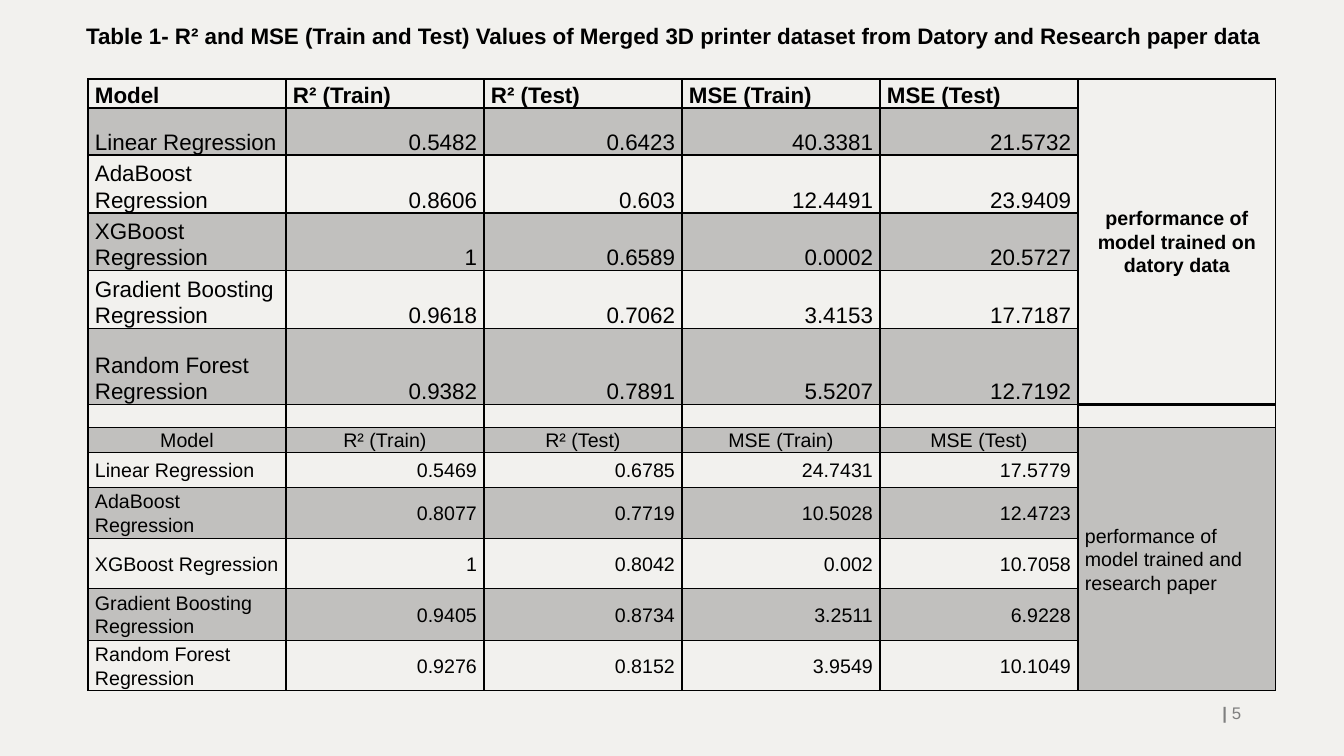
from dataclasses import dataclass

from lxml.etree import SubElement
from pptx import Presentation
from pptx.dml.color import RGBColor
from pptx.enum.text import MSO_ANCHOR, MSO_AUTO_SIZE, PP_ALIGN
from pptx.oxml.ns import qn
from pptx.util import Emu, Pt


@dataclass(frozen=True)
class Theme:
    font: str = "Arial"
    background: str = "F2F1EE"
    ink: str = "000000"
    muted: str = "7F7F7F"
    band_alpha: int = 20
    large: int = 16
    medium: int = 14
    small: int = 12
    line_spacing: float = 1.07
    thin: int = 1
    thick: int = 2


@dataclass(frozen=True)
class Block:
    """One group of results: a heading row, five models and a merged caption."""
    first_row: int
    scores: tuple
    caption: str
    size: int
    anchor: MSO_ANCHOR
    header_align: PP_ALIGN
    caption_align: PP_ALIGN
    header_bold: bool
    header_banded: bool


THEME = Theme()
EMU_PER_PX = 914400 / 100.8
COLUMN_WIDTH = 198
ROW_HEIGHTS = (29, 47, 58, 57, 58, 76, 23, 25, 35, 51, 50, 52, 50)
CELL_MARGIN = 7

TITLE = ("Table 1- R² and MSE (Train and Test) Values of Merged 3D printer "
         "dataset from Datory and Research paper data")
HEADINGS = ("Model", "R² (Train)", "R² (Test)", "MSE (Train)", "MSE (Test)")
MODELS = tuple(f"{method} Regression" for method in
               ("Linear", "AdaBoost", "XGBoost", "Gradient Boosting", "Random Forest"))
BLOCKS = (
    Block(
        0,
        (("0.5482", "0.6423", "40.3381", "21.5732"),
         ("0.8606", "0.603", "12.4491", "23.9409"),
         ("1", "0.6589", "0.0002", "20.5727"),
         ("0.9618", "0.7062", "3.4153", "17.7187"),
         ("0.9382", "0.7891", "5.5207", "12.7192")),
        "performance of model trained on datory data",
        THEME.large, MSO_ANCHOR.BOTTOM, PP_ALIGN.LEFT, PP_ALIGN.CENTER, True, False),
    Block(
        7,
        (("0.5469", "0.6785", "24.7431", "17.5779"),
         ("0.8077", "0.7719", "10.5028", "12.4723"),
         ("1", "0.8042", "0.002", "10.7058"),
         ("0.9405", "0.8734", "3.2511", "6.9228"),
         ("0.9276", "0.8152", "3.9549", "10.1049")),
        "performance of model trained and research paper",
        THEME.medium, MSO_ANCHOR.MIDDLE, PP_ALIGN.CENTER, PP_ALIGN.LEFT, False, True),
)


def px(length):
    return Emu(round(length * EMU_PER_PX))


def add_run(paragraph, text, size, color=THEME.ink, bold=False):
    run = paragraph.add_run()
    run.text = text
    run.font.name = THEME.font
    run.font.size = Pt(size)
    run.font.bold = bold
    run.font.color.rgb = RGBColor.from_string(color)


def add_title(slide):
    title = slide.shapes.title
    title.left, title.top, title.width, title.height = map(px, (76, 17, 1228, 65))
    frame = title.text_frame
    frame.word_wrap = True
    frame.auto_size = MSO_AUTO_SIZE.NONE
    frame.vertical_anchor = MSO_ANCHOR.TOP
    paragraph = frame.paragraphs[0]
    paragraph.alignment = PP_ALIGN.LEFT
    add_run(paragraph, TITLE, THEME.large, bold=True)


def add_page_number(slide):
    frame = slide.shapes.add_textbox(*map(px, (1190, 692, 61, 41))).text_frame
    frame.word_wrap = True
    frame.vertical_anchor = MSO_ANCHOR.MIDDLE
    paragraph = frame.paragraphs[0]
    paragraph.alignment = PP_ALIGN.RIGHT
    add_run(paragraph, "| ", THEME.small, THEME.muted, bold=True)
    add_run(paragraph, "5", THEME.small, THEME.muted)


def set_borders(cell, bottom):
    properties = cell._tc.get_or_add_tcPr()
    widths = {"a:lnL": THEME.thin, "a:lnR": THEME.thin, "a:lnT": THEME.thin, "a:lnB": bottom}
    for side, width in widths.items():
        line = SubElement(properties, qn(side), w=str(Pt(width)))
        SubElement(SubElement(line, qn("a:solidFill")), qn("a:srgbClr"), val=THEME.ink)


def set_band(cell):
    """Fill the cell with a see-through tint of the ink colour."""
    cell.fill.solid()
    cell.fill.fore_color.rgb = RGBColor.from_string(THEME.ink)
    tint = cell._tc.tcPr.find(qn("a:solidFill")).find(qn("a:srgbClr"))
    SubElement(tint, qn("a:alpha"), val=str(THEME.band_alpha * 1000))


def prepare_cell(cell, bottom):
    """Give an empty cell its margins, borders, clear fill and small line height."""
    cell.margin_left = cell.margin_right = px(CELL_MARGIN)
    cell.margin_top = cell.margin_bottom = 0
    set_borders(cell, bottom)
    cell.fill.background()
    SubElement(cell.text_frame.paragraphs[0]._p, qn("a:endParaRPr"), sz=str(THEME.small * 100))


def write_cell(cell, text, size, align, anchor, bold=False, banded=False):
    cell.vertical_anchor = anchor
    paragraph = cell.text_frame.paragraphs[0]
    paragraph.alignment = align
    paragraph.line_spacing = THEME.line_spacing
    add_run(paragraph, text, size, bold=bold)
    if banded:
        set_band(cell)


def fill_block(table, block):
    for column, heading in enumerate(HEADINGS):
        write_cell(table.cell(block.first_row, column), heading, block.size,
                   block.header_align, block.anchor, block.header_bold, block.header_banded)
    for offset, (model, scores) in enumerate(zip(MODELS, block.scores), start=1):
        banded = (offset % 2 == 1) != block.header_banded
        for column, text in enumerate((model, *scores)):
            align = PP_ALIGN.RIGHT if column else PP_ALIGN.LEFT
            write_cell(table.cell(block.first_row + offset, column), text, block.size,
                       align, block.anchor, banded=banded)
    caption_column = len(HEADINGS)
    caption = table.cell(block.first_row, caption_column)
    caption.merge(table.cell(block.first_row + len(MODELS), caption_column))
    write_cell(caption, block.caption, THEME.medium, block.caption_align,
               MSO_ANCHOR.MIDDLE, block.header_bold, block.header_banded)


def add_results_table(slide):
    columns = len(HEADINGS) + 1
    table = slide.shapes.add_table(
        len(ROW_HEIGHTS), columns,
        *map(px, (88, 79, columns * COLUMN_WIDTH, sum(ROW_HEIGHTS)))).table
    table.first_row = table.horz_banding = False
    for column in table.columns:
        column.width = px(COLUMN_WIDTH)
    for index, (row, height) in enumerate(zip(table.rows, ROW_HEIGHTS)):
        row.height = px(height)
        for column, cell in enumerate(row.cells):
            under_caption = column == columns - 1 and index <= len(MODELS)
            prepare_cell(cell, THEME.thick if index == 0 or under_caption else THEME.thin)
    for block in BLOCKS:
        fill_block(table, block)


def main():
    presentation = Presentation()
    presentation.slide_width, presentation.slide_height = px(1344), px(756)
    slide = presentation.slides.add_slide(presentation.slide_layouts.get_by_name("Title Only"))
    slide.background.fill.solid()
    slide.background.fill.fore_color.rgb = RGBColor.from_string(THEME.background)
    add_page_number(slide)
    add_results_table(slide)
    add_title(slide)
    presentation.save("out.pptx")


if __name__ == "__main__":
    main()
